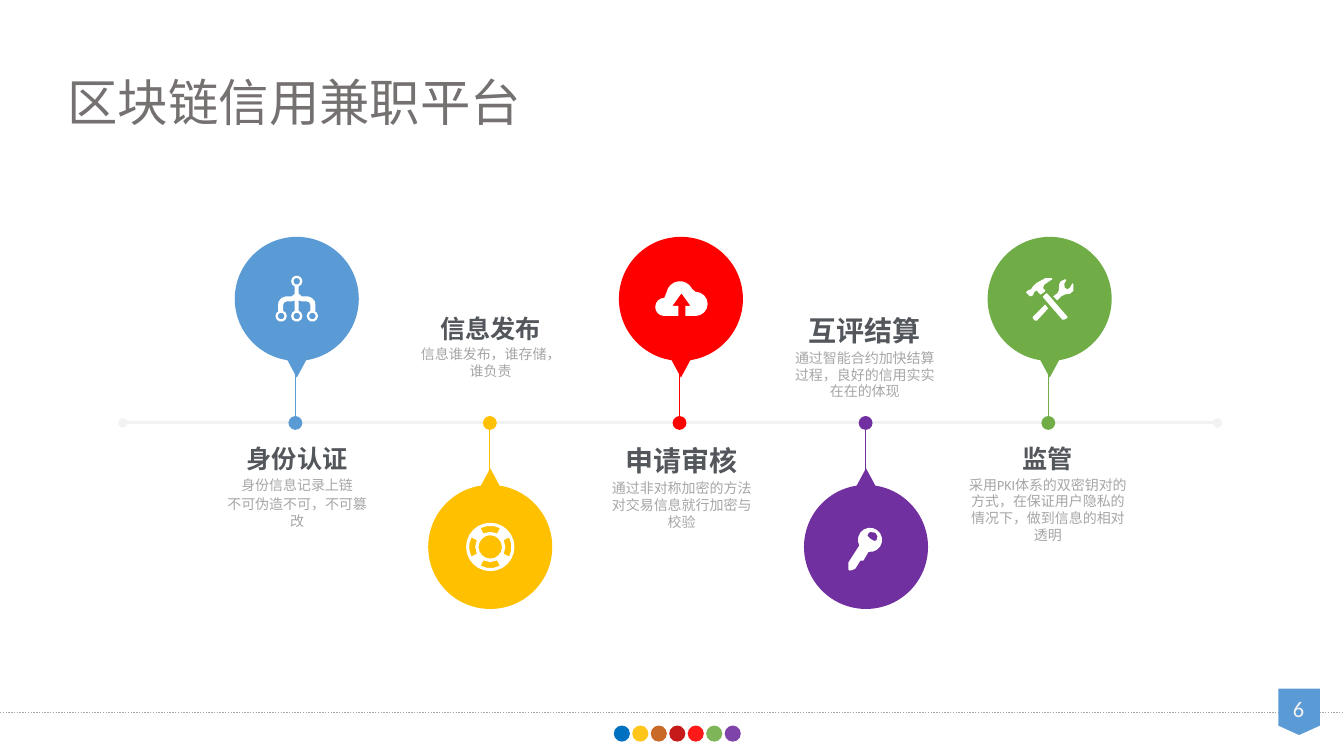
from dataclasses import dataclass
from math import cos, radians, sin

from lxml import etree
from pptx import Presentation
from pptx.dml.color import RGBColor
from pptx.enum.dml import MSO_LINE
from pptx.enum.shapes import MSO_CONNECTOR, MSO_SHAPE
from pptx.enum.text import MSO_ANCHOR, MSO_AUTO_SIZE, PP_ALIGN
from pptx.oxml.ns import qn
from pptx.util import Pt

OVAL, TRIANGLE = MSO_SHAPE.OVAL, MSO_SHAPE.ISOSCELES_TRIANGLE
BADGE = MSO_SHAPE.FLOWCHART_OFFPAGE_CONNECTOR
STRAIGHT, DOTTED = MSO_CONNECTOR.STRAIGHT, MSO_LINE.ROUND_DOT
LEFT, CENTER, TOP = PP_ALIGN.LEFT, PP_ALIGN.CENTER, MSO_ANCHOR.TOP
NO_FIT = MSO_AUTO_SIZE.NONE
TITLE_ONLY = 5


@dataclass(frozen=True)
class Theme:
    font: str = "Calibri"
    title: str = "767171"
    heading: str = "53575C"
    body: str = "A6A6A6"
    pale: str = "F2F2F2"
    white: str = "FFFFFF"
    blue: str = "5B9BD5"
    yellow: str = "FFC000"
    red: str = "FF0000"
    purple: str = "7030A0"
    green: str = "70AD47"
    footer_dots: tuple = ("0070C0", "FFC000", "C55A11", "C00000",
                          "FF0000", "70AD47", "7030A0")
    title_size: int = 36
    page_size: int = 16
    body_size: int = 10


@dataclass(frozen=True)
class Box:
    left: float
    top: float
    width: float
    height: float

    def lengths(self):
        return [Pt(v) for v in (self.left, self.top, self.width, self.height)]


THEME = Theme()


# Drawing helpers
def centred(x, y, width, height):
    return Box(x - width / 2, y - height / 2, width, height)


def paint(shape, colour, alpha=100):
    shape.shadow.inherit = False
    shape.fill.solid()
    shape.fill.fore_color.rgb = RGBColor.from_string(colour)
    shape.line.fill.background()
    if alpha < 100:
        clr = shape.fill._xPr.find(qn("a:solidFill"))[0]
        etree.SubElement(clr, qn("a:alpha"), val=str(alpha * 1000))


def add_solid(slide, kind, box, colour, alpha=100):
    shape = slide.shapes.add_shape(kind, *box.lengths())
    paint(shape, colour, alpha)
    return shape


def add_line(slide, start, end, colour, width, head=None, tail=None):
    line = slide.shapes.add_connector(STRAIGHT, *[Pt(v) for v in (*start, *end)])
    line.line.color.rgb = RGBColor.from_string(colour)
    line.line.width = Pt(width)
    for tag, size in (("a:headEnd", head), ("a:tailEnd", tail)):
        if size:
            etree.SubElement(line.line._get_or_add_ln(), qn(tag),
                             type="oval", w=size, len=size)
    etree.SubElement(line._element.spPr, qn("a:effectLst"))
    return line


def write(paragraph, text, size, colour, bold=False, **layout):
    run = paragraph.add_run()
    run.text = text
    run.font.color.rgb = RGBColor.from_string(colour)
    for name, value in {"name": THEME.font, "size": Pt(size), "bold": bold}.items():
        setattr(run.font, name, value)
    for name, value in {"alignment": CENTER, **layout}.items():
        setattr(paragraph, name, value)


def prepare(frame):
    for name, value in {"word_wrap": True, "auto_size": NO_FIT,
                        "vertical_anchor": TOP}.items():
        setattr(frame, name, value)
    return frame


def add_frame(slide, box):
    return prepare(slide.shapes.add_textbox(*box.lengths()).text_frame)


# Icon outlines, on a grid of 0.72 pt around the bubble centre
def arc(x, y, radius, start, end, steps):
    angles = [radians(start + (end - start) * i / steps) for i in range(steps + 1)]
    return [(x + radius * cos(a), y + radius * sin(a)) for a in angles]


def circle(x, y, radius, steps):
    return arc(x, y, radius, 0, 360, steps)[:-1]


def ring_sector(middle):
    return (arc(0, 0, 21, middle - 27, middle + 27, 3)
            + arc(0, 0, 15, middle + 27, middle - 27, 2))


def mirrored(half):
    return half + [(-x, y) for x, y in reversed(half)]


NODES = [(0, -17.5), (-15.5, 17), (0, 17), (15.5, 17)]
TREE = [circle(x, y, r, 10) for x, y in NODES for r in (5.6, 3.3)] + [mirrored([
    (-2, -12.4), (-2, -5), (-5, -2.5), (-11, -2.5), (-15, -1), (-18, 2.5),
    (-18.5, 6), (-18.5, 12), (-13.5, 12), (-13.5, 6), (-12.5, 3.5), (-10, 2.5),
    (-5, 2.5), (-2, 1.5), (-2, 11.8)])]
LIFEBUOY = ([circle(0, 0, 24, 24), circle(0, 0, 11.6, 16)]
            + [ring_sector(quarter * 90) for quarter in range(4)])
CLOUD = [arc(-16.5, 8, 9, 90, 270, 8) + arc(-1, -4, 13.5, 190, 335, 8)
         + arc(14.5, 5, 12, -90, 90, 8)
         + [(4.5, 17), (4.5, 7), (9.5, 7), (0.5, -5.5), (-8.5, 7), (-2.5, 7), (-2.5, 17)]]
KEY = [arc(4, -7, 12, 97, -208, 14)
       + [(-17.5, 15.5), (-17.5, 22.5), (-16, 23.5), (-12.5, 22.5),
          (-10.5, 21.5), (-5.5, 13.5), (-2.5, 13.5)],
       [(10.5, -6.5), (8, -6), (4.5, -8), (1.5, -11), (2, -13), (4, -15),
        (9.5, -14), (11.5, -10.5)]]
TOOLS = [
    [(-15.5, -6.5), (-13, -8.5), (-9.5, -4.5), (-8.5, -4.5), (-4.5, -7.5),
     (-4.5, -8.5), (-6.5, -10.5), (-5.5, -14), (2.5, -19.5), (2.5, -20.5),
     (-4.5, -20.5), (-13.5, -15.5), (-16.5, -12.5), (-18.5, -9.5),
     (-21.5, -8.5), (-23.5, -6.5), (-19.5, -2.5), (-16.5, -3.5)],
    [(-2.5, -5.5), (-3.5, -5.5), (-6.5, -2.5), (-6.5, -1.5), (12.5, 20.5),
     (14.5, 20.5), (17.5, 19), (17.5, 17.5)],
    [(23.5, -14.5), (22.5, -15.5), (20, -11), (17.5, -9.5), (15, -11), (14.5, -15),
     (16.5, -18.5), (15.5, -19.5), (11, -17.5), (9.5, -14.5), (9, -8), (7.5, -5.5),
     (3.5, -2.5), (7.5, 1.5), (11.5, -2.5), (15.5, -4.5), (20, -5), (23.5, -8)],
    [(-16.5, 17.5), (-16.5, 19.5), (-14.5, 21.5), (-12.5, 21.5), (-1.5, 9.5),
     (-4.5, 5.5)]]


def add_icon(slide, x, y, contours):
    step = Pt(0.72)
    first, *others = [[(px * step, py * step) for px, py in contour]
                      for contour in contours]
    builder = slide.shapes.build_freeform(*first[0])
    builder.add_line_segments(first[1:], close=True)
    for contour in others:
        builder.move_to(*contour[0])
        builder.add_line_segments(contour[1:], close=True)
    paint(builder.convert_to_shape(Pt(x), Pt(y)), THEME.white)


# Regions
def draw_title(slide, box, text):
    title = slide.shapes.title
    title.left, title.top, title.width, title.height = box.lengths()
    write(prepare(title.text_frame).paragraphs[0], text, THEME.title_size,
          THEME.title, alignment=LEFT, line_spacing=1.5)


def draw_footer(slide, box, page):
    rule = add_line(slide, (box.left, box.top), (box.left + box.width, box.top),
                    THEME.body, 1)
    rule.line.dash_style = DOTTED
    right = box.left + box.width
    add_solid(slide, BADGE, Box(right - 46.8, box.top - 17.2, 29.5, 33.2), THEME.blue)
    number = add_frame(slide, Box(right - 53.7, box.top - 13.7, 42.5, 24.5))
    write(number.paragraphs[0], page, THEME.page_size, THEME.pale, line_spacing=0.9)
    middle = box.left + box.width / 2 + 3.8
    for i, colour in enumerate(THEME.footer_dots):
        dot = centred(middle + (i - 3) * 13.2, box.top + 15, 11.5, 11.5)
        add_solid(slide, OVAL, dot, colour, 90 if i else 100)


def draw_stage(slide, box, side, label_shift, colour, icon, heading, size, lines):
    """side is -1 for a bubble above the axis and 1 for one below it"""
    x, axis = box.left + box.width / 2, box.top + box.height / 2
    bubble_y = axis + side * 88.6
    add_solid(slide, OVAL, centred(x, bubble_y, 88.6, 88.6), colour)
    pointer = add_solid(slide, TRIANGLE, centred(x, axis + side * 41.4, 19.4, 18), colour)
    pointer.rotation = 0 if side > 0 else 180
    stem = x - 0.3 if side > 0 else x - 1
    add_line(slide, (stem, axis + side * 37), (stem, axis), colour, 0.5, tail="lg")
    add_icon(slide, x, bubble_y, icon)
    label_top = axis + 11 if side < 0 else axis - 82
    label = add_frame(slide, Box(box.left + label_shift, label_top, box.width, 53.3))
    write(label.paragraphs[0], heading, size, THEME.heading, bold=True)
    for line in lines:
        write(label.add_paragraph(), line, THEME.body_size, THEME.body,
              space_before=Pt(1.8))


def draw_timeline(slide, box, stages):
    axis = box.top + box.height / 2
    add_line(slide, (box.left, axis), (box.left + box.width, axis),
             THEME.pale, 2.25, head="med", tail="med")
    for i, (offset, width, *content) in enumerate(stages):
        place = Box(box.left + offset - width / 2, box.top, width, box.height)
        draw_stage(slide, place, 1 if i % 2 else -1, *content)


STAGES = [
    (124.2, 115.2, 0.2, THEME.blue, TREE, "身份认证", 18,
     ["身份信息记录上链", "不可伪造不可，不可篡改"]),
    (262.4, 115.2, 0.3, THEME.yellow, LIFEBUOY, "信息发布", 18,
     ["信息谁发布，谁存储，谁负责"]),
    (398.6, 115.2, 0.5, THEME.red, CLOUD, "申请审核", 20,
     ["通过非对称加密的方法对交易信息就行加密与校验"]),
    (530.8, 115.2, -0.9, THEME.purple, KEY, "互评结算", 20,
     ["通过智能合约加快结算过程，良好的信用实实在在的体现"]),
    (662, 130.3, -1.3, THEME.green, TOOLS, "监管", 18,
     ["采用PKI体系的双密钥对的方式，在保证用户隐私的情况下，做到信息的相对透明"]),
]


def main():
    deck = Presentation()
    deck.slide_width, deck.slide_height = Pt(960), Pt(540)
    slide = deck.slides.add_slide(deck.slide_layouts[TITLE_ONLY])
    draw_footer(slide, Box(0, 509, 960, 31), "6")
    draw_timeline(slide, Box(87.8, 168.9, 782, 266.4), STAGES)
    draw_title(slide, Box(41, 25.5, 475, 72), "区块链信用兼职平台")
    deck.save("out.pptx")


if __name__ == "__main__":
    main()
